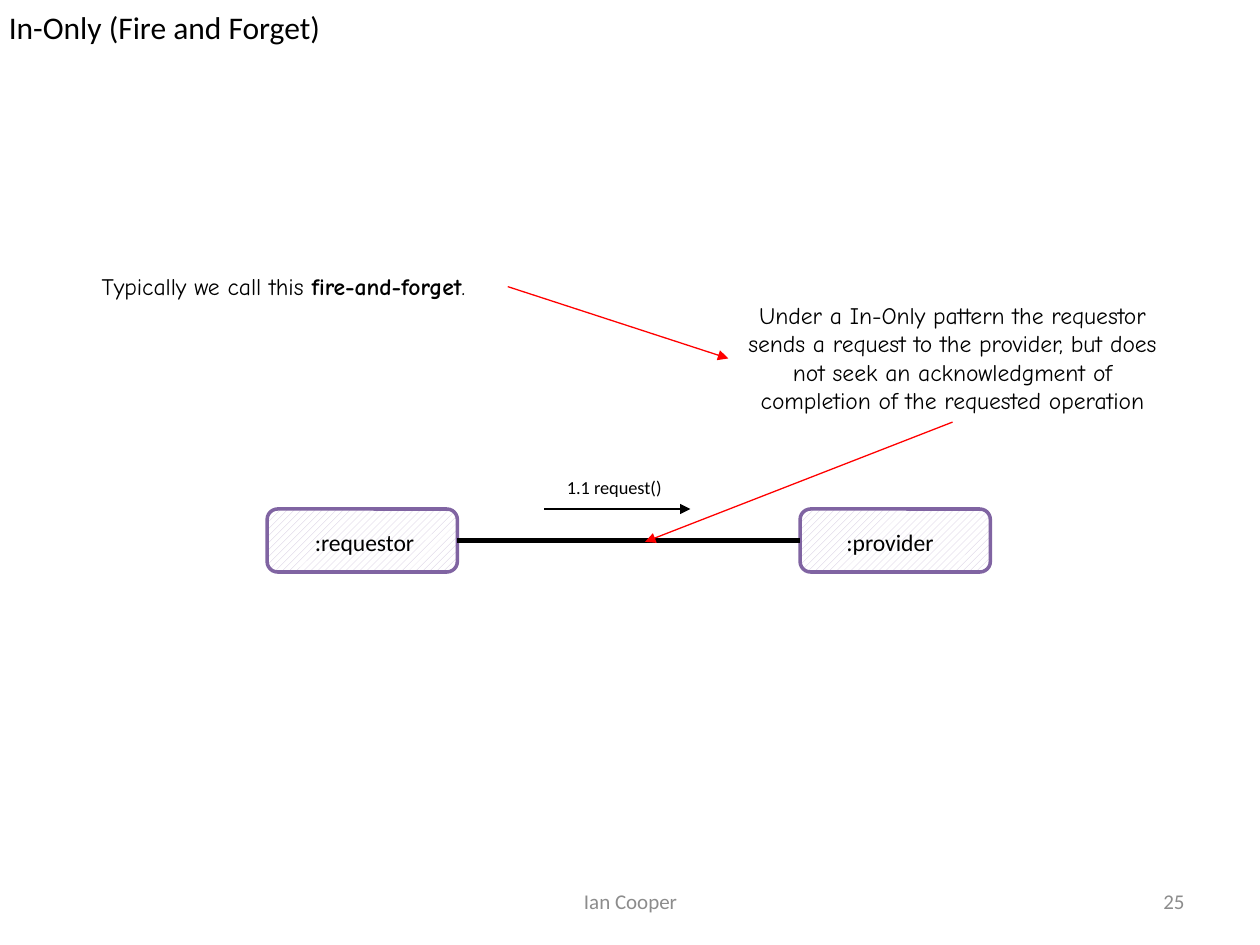
import pptx
import pptx.dml.color
import pptx.enum.dml
import pptx.enum.shapes
import pptx.enum.text
import pptx.oxml
import pptx.oxml.ns
import pptx.util
from pptx.util import Inches

ALIGN = pptx.enum.text.PP_ALIGN
ANCHOR = pptx.enum.text.MSO_ANCHOR
AUTO_SIZE = pptx.enum.text.MSO_AUTO_SIZE
STRAIGHT = pptx.enum.shapes.MSO_CONNECTOR.STRAIGHT


def color(hex_value):
    return pptx.dml.color.RGBColor.from_string(hex_value)


def write(shape, runs, size, font="Calibri", align=ALIGN.LEFT, hex_value="000000",
          anchor=ANCHOR.TOP, auto_size=AUTO_SIZE.SHAPE_TO_FIT_TEXT):
    """Fill a shape with one paragraph of (text, bold) runs."""
    frame = shape.text_frame
    frame.word_wrap = True
    frame.auto_size = auto_size
    frame.vertical_anchor = anchor
    paragraph = frame.paragraphs[0]
    paragraph.alignment = align
    for text, bold in runs:
        run = paragraph.add_run()
        run.text = text
        run.font.name = font
        run.font.size = pptx.util.Pt(size)
        run.font.bold = bold
        run.font.color.rgb = color(hex_value)


presentation = pptx.Presentation()
presentation.slide_width = Inches(10)
presentation.slide_height = Inches(7.5)
slide = presentation.slides.add_slide(presentation.slide_layouts[5])
shapes = slide.shapes

# Title
title = shapes.title
title.left, title.top = Inches(0), Inches(-0.01)
title.width, title.height = Inches(10), Inches(0.45)
frame = title.text_frame
frame.margin_left = frame.margin_right = Inches(0.07)
frame.margin_top = frame.margin_bottom = Inches(0.07)
write(title, [("In-Only (Fire and Forget)", False)], 18)

# Footer and page number
for text, left, width, align in [("Ian Cooper", 3.42, 3.17, ALIGN.CENTER),
                                 ("25", 7.17, 2.33, ALIGN.RIGHT)]:
    footer = shapes.add_textbox(Inches(left), Inches(6.95), Inches(width), Inches(0.4))
    write(footer, [(text, False)], 12, align=align, hex_value="8C8C8C",
          anchor=ANCHOR.MIDDLE, auto_size=AUTO_SIZE.NONE)

# Participants
participants = []
for left in (2.12, 6.35):
    box = shapes.add_shape(pptx.enum.shapes.MSO_SHAPE.ROUNDED_RECTANGLE,
                           Inches(left), Inches(4.04), Inches(1.51), Inches(0.5))
    box.shadow.inherit = False
    box.fill.patterned()
    box.fill.pattern = pptx.enum.dml.MSO_PATTERN.WIDE_UPWARD_DIAGONAL
    box.fill.fore_color.rgb = color("CCC1DA")
    box.fill.back_color.rgb = color("FFFFFF")
    box.line.color.rgb = color("8064A2")
    box.line.width = pptx.util.Pt(2)
    participants.append(box)
requestor, provider = participants

# Labels
for text, left, top, width, height, size in [
    ("1.1 request()", 4.4, 3.73, 0.98, 0.28, 10.5),
    (":requestor", 2.4, 4.14, 1.14, 0.33, 13.5),
    (":provider", 6.62, 4.14, 0.96, 0.33, 13.5),
]:
    label = shapes.add_textbox(Inches(left), Inches(top), Inches(width), Inches(height))
    write(label, [(text, False)], size)

# Explanations
pattern_note = shapes.add_textbox(Inches(5.78), Inches(2.34), Inches(3.56), Inches(1.01))
write(pattern_note, [("Under a In-Only pattern the requestor sends a request to the provider, "
                      "but does not seek an acknowledgment of completion of the requested "
                      "operation", False)], 13.5, "Comic Neue", ALIGN.CENTER)
name_note = shapes.add_textbox(Inches(0.47), Inches(2.11), Inches(3.56), Inches(0.33))
write(name_note, [("Typically we call this ", False), ("fire-and-forget", True), (".", False)],
      13.5, "Comic Neue", ALIGN.CENTER)

# Lines: start, end, joined shapes and sides, colour, width, arrowhead
for start, end, source, target, hex_value, width, has_arrow in [
    ((3.63, 4.29), (6.35, 4.29), (requestor, 3), (provider, 1), "000000", 2.5, False),
    ((4.32, 4.04), (5.48, 4.04), None, None, "000000", 1.5, True),
    ((7.56, 3.35), (5.12, 4.3), (pattern_note, 2), None, "FF0000", 0.75, True),
    ((4.03, 2.28), (5.78, 2.85), (name_note, 3), (pattern_note, 1), "FF0000", 0.75, True),
]:
    connector = shapes.add_connector(STRAIGHT, *map(Inches, start + end))
    if source:
        connector.begin_connect(*source)
    if target:
        connector.end_connect(*target)
    connector.line.color.rgb = color(hex_value)
    connector.line.width = pptx.util.Pt(width)
    if has_arrow:
        arrowhead = pptx.oxml.parse_xml(
            f'<a:tailEnd {pptx.oxml.ns.nsdecls("a")} type="triangle"/>')
        connector.line._get_or_add_ln().append(arrowhead)
    properties = connector._element.spPr
    properties.append(pptx.oxml.parse_xml(f'<a:effectLst {pptx.oxml.ns.nsdecls("a")}/>'))

presentation.save("out.pptx")
